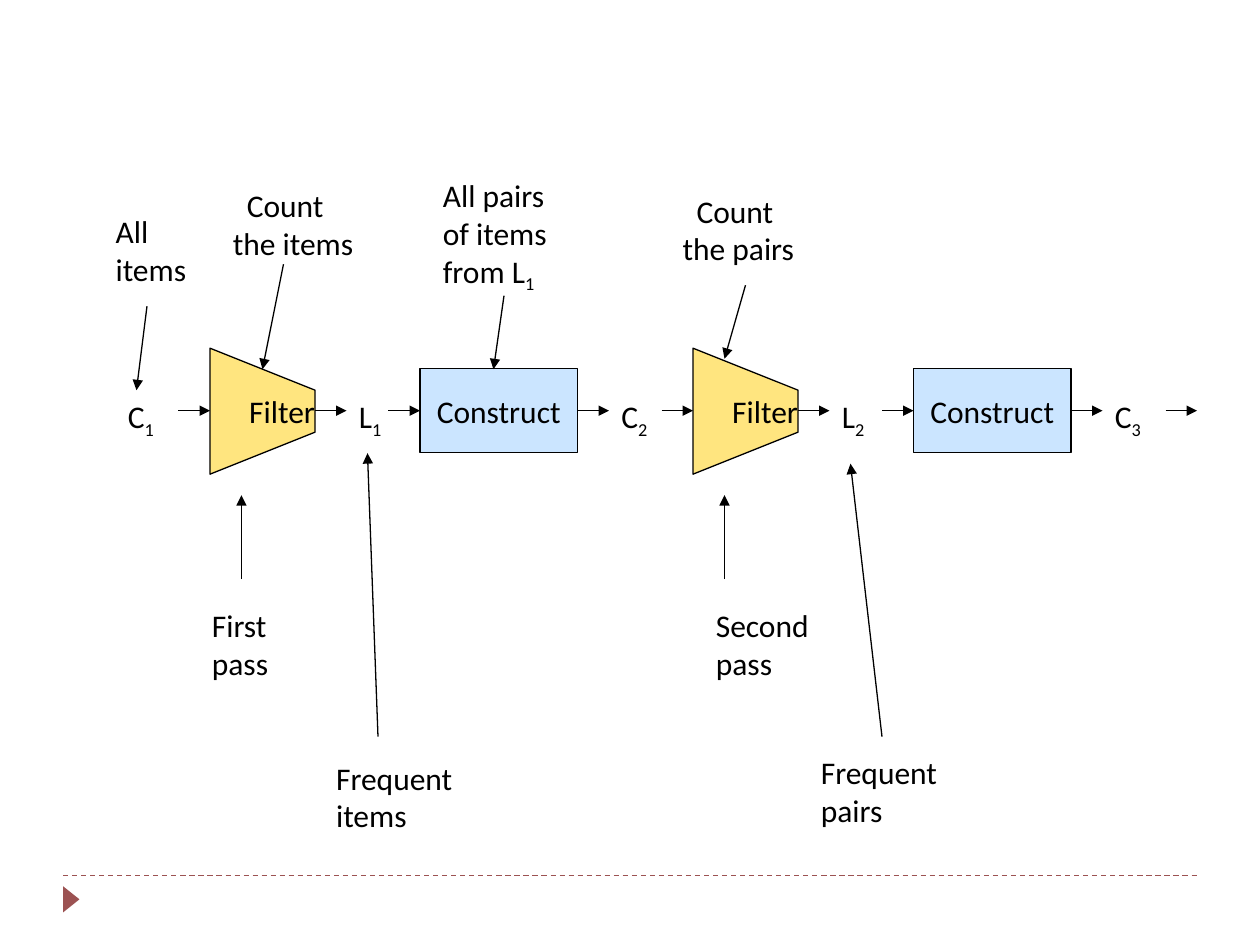
"""Build a slide showing the candidate and filter pipeline for frequent itemsets."""
from pptx import Presentation
from pptx.dml.color import RGBColor
from pptx.enum.dml import MSO_LINE
from pptx.enum.shapes import MSO_CONNECTOR, MSO_SHAPE
from pptx.enum.text import MSO_ANCHOR, MSO_AUTO_SIZE, PP_ALIGN
from pptx.oxml.ns import qn
from pptx.util import Pt
from lxml.etree import SubElement

BLACK = RGBColor(0x00, 0x00, 0x00)
YELLOW = RGBColor(0xFF, 0xCC, 0x00)
BLUE = RGBColor(0x99, 0xCC, 0xFF)
MAROON = RGBColor(0x9C, 0x52, 0x52)
FONT = "Calibri"
MID = 234.7
GAP = 18

prs = Presentation()
prs.slide_width, prs.slide_height = Pt(720), Pt(540)
s = prs.slides.add_slide(prs.slide_layouts[6])
shapes = s.shapes


def add_line(x1, y1, x2, y2, color=BLACK, arrow=True):
    ln = shapes.add_connector(MSO_CONNECTOR.STRAIGHT, Pt(x1), Pt(y1), Pt(x2), Pt(y2))
    ln.line.color.rgb = color
    ln.line.width = Pt(0.75)
    SubElement(ln._element.spPr, qn("a:effectLst"))
    if arrow:
        SubElement(ln.line._get_or_add_ln(), qn("a:tailEnd"), type="triangle")
    return ln


def add_label(lines, x, y, w, h, indent=0):
    sp = shapes.add_textbox(Pt(x), Pt(y), Pt(w), Pt(h))
    tf = sp.text_frame
    tf.word_wrap = False
    tf.auto_size = MSO_AUTO_SIZE.SHAPE_TO_FIT_TEXT
    for i, line in enumerate(lines):
        p = tf.paragraphs[0] if i == 0 else tf.add_paragraph()
        if i == 0 and indent:
            p._p.get_or_add_pPr().set("indent", str(Pt(indent)))
        base, _, sub = line.partition("_")
        p.add_run().text = base
        if sub:
            r = p.add_run()
            r.text = sub
            r.font._element.set("baseline", "-25000")
        p.font.name, p.font.size = FONT, Pt(18)
        p.font.color.rgb = BLACK


footer = add_line(36, 500.5, 684, 500.5, MAROON, arrow=False)
footer.line.dash_style = MSO_LINE.DASH
sp = shapes.add_shape(MSO_SHAPE.ISOSCELES_TRIANGLE, Pt(33.2), Pt(509.2), Pt(15), Pt(9.4))
sp.rotation = 90
sp.shadow.inherit = False
sp.fill.solid()
sp.fill.fore_color.rgb = MAROON
sp.line.fill.background()

for name, x in [("C_1", 66), ("L_1", 198), ("C_2", 348), ("L_2", 474), ("C_3", 630)]:
    add_label([name], x, 223.5, 31, 29)

filters = []
for x in (120, 396):
    fb = shapes.build_freeform(x, MID + 36, scale=Pt(1))
    fb.add_line_segments([(x + 60, MID + 12), (x + 60, MID - 12), (x, MID - 36)])
    filters.append(fb.convert_to_shape())
boxes = {x: shapes.add_shape(MSO_SHAPE.RECTANGLE, Pt(x), Pt(MID - 24), Pt(90), Pt(48))
         for x in (240, 522)}

stages = [(sp, "Filter", YELLOW, PP_ALIGN.RIGHT) for sp in filters]
stages += [(sp, "Construct", BLUE, PP_ALIGN.CENTER) for sp in boxes.values()]
for sp, text, color, align in stages:
    sp.shadow.inherit = False
    sp.fill.solid()
    sp.fill.fore_color.rgb = color
    SubElement(sp._element.spPr.find(".//" + qn("a:srgbClr")), qn("a:alpha"), val="50000")
    sp.line.color.rgb = BLACK
    sp.line.width = Pt(0.75)
    tf = sp.text_frame
    tf.word_wrap = False
    tf.vertical_anchor = MSO_ANCHOR.MIDDLE
    tf.margin_left = tf.margin_right = 0
    p = tf.paragraphs[0]
    p.text = text
    p.alignment = align
    p.font.name, p.font.size = FONT, Pt(18)
    p.font.color.rgb = BLACK

for x in (102, 180, 222, 330, 378, 456, 504, 612, 666):
    ln = add_line(x, MID, x + GAP, MID)
    if x + GAP in boxes:
        ln.end_connect(boxes[x + GAP], 1)
    if x - 90 in boxes:
        ln.begin_connect(boxes[x - 90], 3)

notes = [
    (["First", "pass"], (114, 343, 50, 50), 0, (138, 331, 138, 283)),
    (["Second", "pass"], (402, 343, 72, 50), 0, (414, 331, 414, 283)),
    (["All", "items"], (59, 117.5, 57.5, 50), 0, (84, 175, 78, 223)),
    (["All pairs", "of items", "from L_1"], (246, 97, 78.5, 72), 0, (288, 169, 282, 211)),
    (["Count", "the pairs"], (383, 106, 83.5, 50), 8, (426, 163, 414, 205)),
    (["Count", "the items"], (126, 103, 88.5, 50), 8, (162, 151, 150, 211)),
    (["Frequent", "items"], (185, 430, 85.5, 50), 0, (216, 421, 210, 259)),
    (["Frequent", "pairs"], (462, 427, 85.5, 50), 0, (504, 421, 486, 265)),
]
for lines, area, indent, ends in notes:
    add_label(lines, *area, indent)
    add_line(*ends)

prs.save("out.pptx")
